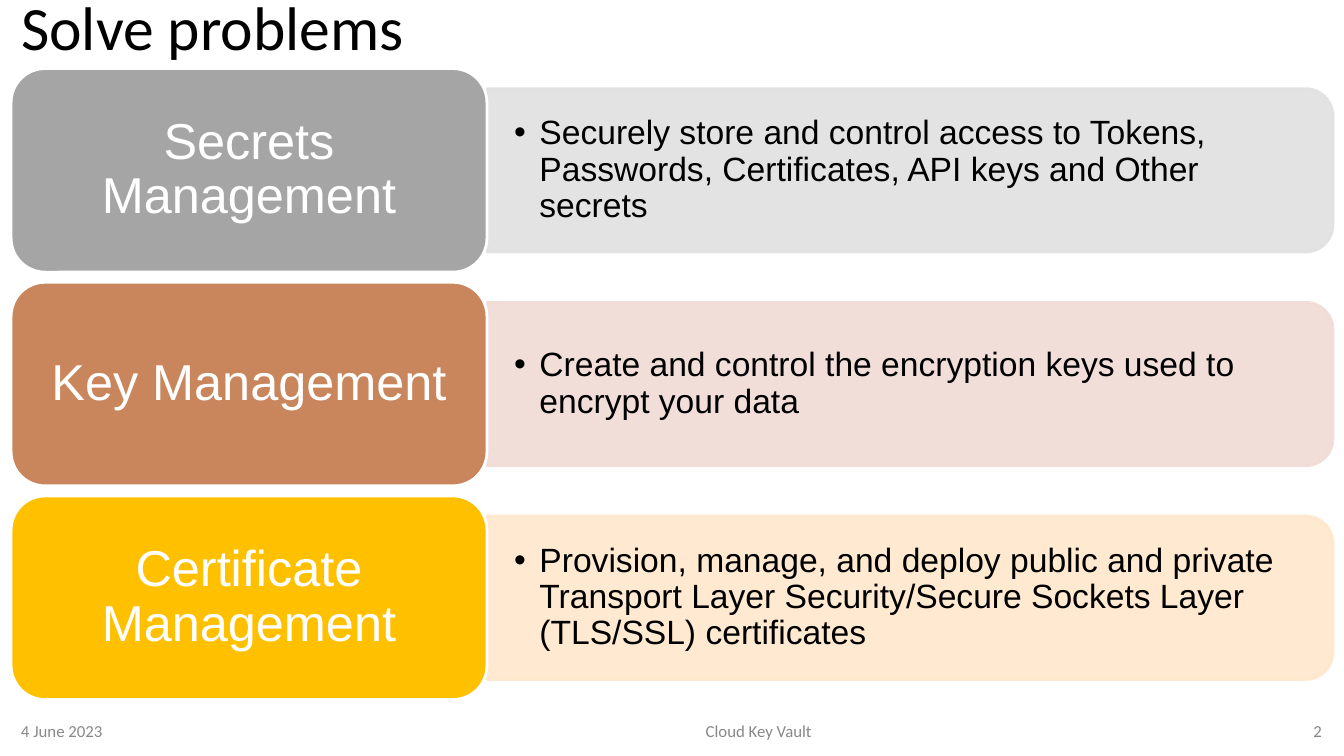
"""Build the slide on the three problems that a key vault solves."""
import dataclasses
import typing

import lxml.etree
import pptx
import pptx.dml.color
import pptx.enum.shapes
import pptx.enum.text
import pptx.oxml.ns
import pptx.util

Inches = pptx.util.Inches
Pt = pptx.util.Pt
RGBColor = pptx.dml.color.RGBColor
Align = pptx.enum.text.PP_ALIGN
Shape = pptx.enum.shapes.MSO_SHAPE

BLACK = RGBColor(0x00, 0x00, 0x00)
WHITE = RGBColor(0xFF, 0xFF, 0xFF)
MUTED = RGBColor(0x88, 0x88, 0x88)
GREY = RGBColor(0xA5, 0xA5, 0xA5)
BROWN = RGBColor(0xC9, 0x85, 0x5C)
GOLD = RGBColor(0xFF, 0xC0, 0x00)
PALE_GREY = RGBColor(0xE1, 0xE1, 0xE1)
PALE_ROSE = RGBColor(0xF1, 0xDB, 0xD5)
PALE_GOLD = RGBColor(0xFF, 0xE7, 0xCB)

LEFT, TOP, PITCH = 0.11, 0.68, 2.12
CARD_W, CARD_H = 4.72, 2.02
BAR_W, BAR_H = 8.39, 1.62
NOTE_W, NOTE_H = 8.31, 1.46


@dataclasses.dataclass
class Row:
    head: str
    note: str
    fill: RGBColor
    tint: RGBColor
    slot: int


@dataclasses.dataclass
class Foot:
    text: str
    left: float
    width: float
    align: Align


ROWS = [
    Row("Secrets Management",
        "Securely store and control access to Tokens, Passwords, "
        "Certificates, API keys and Other secrets", GREY, PALE_GREY, 1),
    Row("Key Management",
        "Create and control the encryption keys used to encrypt your data",
        BROWN, PALE_ROSE, 2),
    Row("Certificate Management",
        "Provision, manage, and deploy public and private Transport Layer "
        "Security/Secure Sockets Layer (TLS/SSL) certificates",
        GOLD, PALE_GOLD, 3),
]
FEET = [
    Foot("4 June 2023", 0.11, 2.72, Align.LEFT),
    Foot("Cloud Key Vault", 3.03, 8.99, Align.CENTER),
    Foot("2", 12.51, 0.7, Align.RIGHT),
]


def place(shape: typing.Any, left: float, top: float,
          width: float, height: float) -> None:
    shape.left, shape.top = Inches(left), Inches(top)
    shape.width, shape.height = Inches(width), Inches(height)


def write(shape: typing.Any, text: str, size: int, font: str,
          color: RGBColor, align: Align, pad: tuple[float, float],
          lead: float = 1.0) -> typing.Any:
    frame = shape.text_frame
    frame.word_wrap = True
    frame.auto_size = pptx.enum.text.MSO_AUTO_SIZE.NONE
    frame.vertical_anchor = pptx.enum.text.MSO_ANCHOR.MIDDLE
    frame.margin_left = frame.margin_right = Inches(pad[0])
    frame.margin_top = frame.margin_bottom = Inches(pad[1])
    para = frame.paragraphs[0]
    para.alignment = align
    para.line_spacing = lead
    para.space_before = para.space_after = Pt(0)
    run = para.add_run()
    run.text = text
    run.font.size, run.font.name = Pt(size), font
    run.font.bold = False
    run.font.color.rgb = color
    return para


def paint(shape: typing.Any, fill: RGBColor, line: RGBColor) -> None:
    shape.shadow.inherit = False
    shape.fill.solid()
    shape.fill.fore_color.rgb = fill
    shape.line.color.rgb = line
    shape.line.width = Pt(2)


def fade(shape: typing.Any, share: int) -> None:
    qn = pptx.oxml.ns.qn
    for color in shape.element.spPr.iter(qn("a:srgbClr")):
        lxml.etree.SubElement(color, qn("a:alpha"), val=str(share * 1000))


def bullet(para: typing.Any) -> None:
    qn = pptx.oxml.ns.qn
    props = para._p.get_or_add_pPr()
    props.set("marL", str(Inches(0.25)))
    props.set("indent", str(-Inches(0.25)))
    lxml.etree.SubElement(props, qn("a:buFont"), typeface="Arial")
    lxml.etree.SubElement(props, qn("a:buChar"), char="•")


def add_row(slide: typing.Any, row: Row, top: float) -> None:
    right = LEFT + CARD_W
    mid_x, mid_y = right + BAR_W / 2, top + CARD_H / 2
    bar = slide.shapes.add_shape(
        Shape.ROUND_2_SAME_RECTANGLE,
        Inches(mid_x - BAR_H / 2), Inches(mid_y - BAR_W / 2),
        Inches(BAR_H), Inches(BAR_W))
    bar.rotation = 90
    paint(bar, row.tint, row.tint)
    fade(bar, 90)

    note = slide.placeholders[row.slot]
    place(note, right, mid_y - NOTE_H / 2, NOTE_W, NOTE_H)
    bullet(write(note, row.note, 24, "Arial", BLACK, Align.LEFT,
                 (0.27, 0.14), 0.9))
    bar.element.addnext(note.element)

    card = slide.shapes.add_shape(
        Shape.ROUNDED_RECTANGLE, Inches(LEFT), Inches(top),
        Inches(CARD_W), Inches(CARD_H))
    paint(card, row.fill, WHITE)
    write(card, row.head, 36, "Arial", WHITE, Align.CENTER,
          (0.15, 0.07), 0.9)


def add_foot(slide: typing.Any, foot: Foot) -> None:
    box = slide.shapes.add_textbox(
        Inches(foot.left), Inches(7.05), Inches(foot.width), Inches(0.4))
    write(box, foot.text, 12, "Calibri", MUTED, foot.align, (0.1, 0.05))


def main() -> None:
    deck = pptx.Presentation()
    deck.slide_width, deck.slide_height = Inches(13.33), Inches(7.5)
    slide = deck.slides.add_slide(deck.slide_layouts.get_by_name("Comparison"))
    title = slide.shapes.title
    place(title, LEFT, 0.03, 13.11, 0.55)
    write(title, "Solve problems", 44, "Calibri", BLACK, Align.LEFT,
          (0.1, 0.05), 0.9)
    for i, row in enumerate(ROWS):
        add_row(slide, row, TOP + i * PITCH)
    spare = slide.placeholders[4].element
    spare.getparent().remove(spare)
    for foot in FEET:
        add_foot(slide, foot)
    deck.save("out.pptx")


if __name__ == "__main__":
    main()
